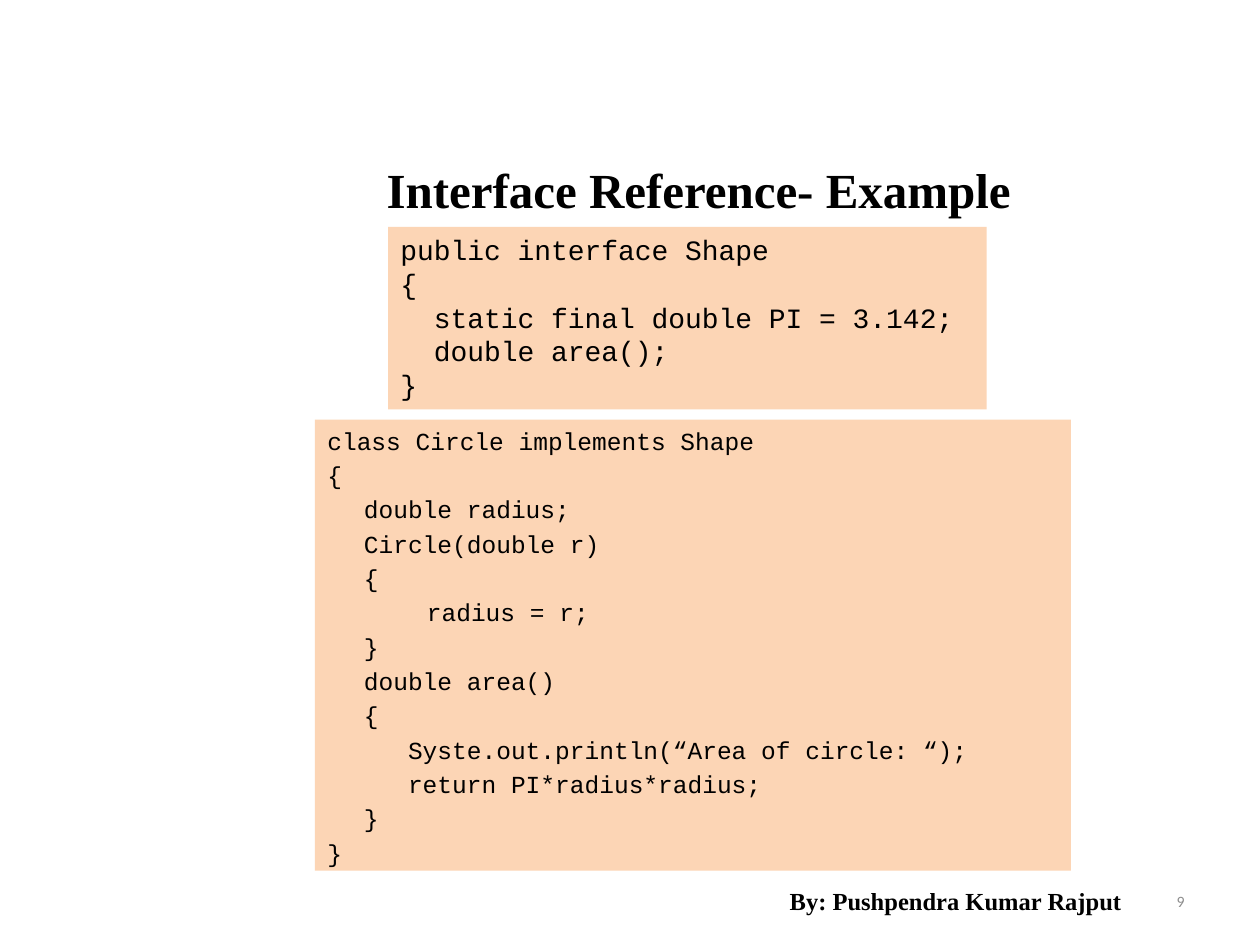
from dataclasses import dataclass

from pptx import Presentation
from pptx import util as u
from pptx.dml.color import RGBColor
from pptx.enum import shapes, text


@dataclass(frozen=True)
class Theme:
    """Colours, fonts and type sizes of the slide."""
    ink: str = "000000"
    gray: str = "8C8C8C"
    peach: str = "FCD5B5"
    serif: str = "Times New Roman"
    sans: str = "Calibri"
    mono: str = "Courier New"
    title: int = 28
    large: int = 16
    body: int = 14
    small: int = 9


THEME = Theme()
ALIGN = text.PP_ALIGN

SHAPE = """public interface Shape
{
  static final double PI = 3.142;
  double area();
}"""

CIRCLE = """class Circle implements Shape
{
\tdouble radius;
\tCircle(double r)
\t{
\t\tradius = r;
\t}
\tdouble area()
\t{
\t   Syste.out.println(“Area of circle: “);
\t   return PI*radius*radius;
\t}
}"""


def style(par, face, size, color=THEME.ink, bold=False):
    """Set the font of a paragraph."""
    font = par.font
    font.name, font.size, font.bold = face, u.Pt(size), bold
    font.color.rgb = RGBColor.from_string(color)


def add_label(slide, box, words, align, anchor, *look):
    """Place one line of text in the box and return its paragraph."""
    frame = slide.shapes.add_textbox(*map(u.Inches, box)).text_frame
    frame.word_wrap = True
    frame.vertical_anchor = anchor
    par = frame.paragraphs[0]
    par.text, par.alignment = words, align
    style(par, *look)
    return par


def add_title(slide, box, words):
    """Place the slide title in the box."""
    par = add_label(slide, box, words, ALIGN.CENTER, text.MSO_ANCHOR.TOP,
                    THEME.serif, THEME.title, THEME.ink, True)
    par.line_spacing = 1.1


def add_code(slide, box, code, size, align=ALIGN.LEFT, gap=0, hang=0):
    """Place a filled panel of code lines in the box, with gap as a share of the type size."""
    panel = slide.shapes.add_shape(shapes.MSO_SHAPE.RECTANGLE, *map(u.Inches, box))
    panel.shadow.inherit = False
    panel.fill.solid()
    panel.fill.fore_color.rgb = RGBColor.from_string(THEME.peach)
    panel.line.fill.background()
    frame = panel.text_frame
    frame.word_wrap = True
    frame.vertical_anchor = text.MSO_ANCHOR.TOP
    frame.text = code
    for row, par in enumerate(frame.paragraphs):
        par.alignment = align
        par.space_before = u.Pt(gap * size if row else 0)
        if hang:
            props = par._p.get_or_add_pPr()
            props.set("marL", str(u.Inches(hang)))
            props.set("indent", str(-u.Inches(hang)))
        style(par, THEME.mono, size)


def add_footer(slide, top, high):
    """Place the author and the page number on the footer row."""
    mid = text.MSO_ANCHOR.MIDDLE
    add_label(slide, (6, top, 3.17, high), "By: Pushpendra Kumar Rajput",
              ALIGN.CENTER, mid, THEME.serif, THEME.body, THEME.ink, True)
    add_label(slide, (7.17, top, 2.33, high), "9",
              ALIGN.RIGHT, mid, THEME.sans, THEME.small, THEME.gray)


def main():
    """Build the slide and save it."""
    deck = Presentation()
    deck.slide_width, deck.slide_height = u.Inches(10), u.Inches(7.5)
    slide = deck.slides.add_slide(deck.slide_layouts[6])
    add_footer(slide, 6.95, 0.4)
    add_title(slide, (1.67, 1.17, 7.75, 0.58), "Interface Reference- Example")
    add_code(slide, (2.5, 3.33, 6, 3.58), CIRCLE, THEME.body,
             ALIGN.JUSTIFY, 0.2, 0.29)
    add_code(slide, (3.08, 1.8, 4.75, 1.45), SHAPE, THEME.large)
    deck.save("out.pptx")


if __name__ == "__main__":
    main()
